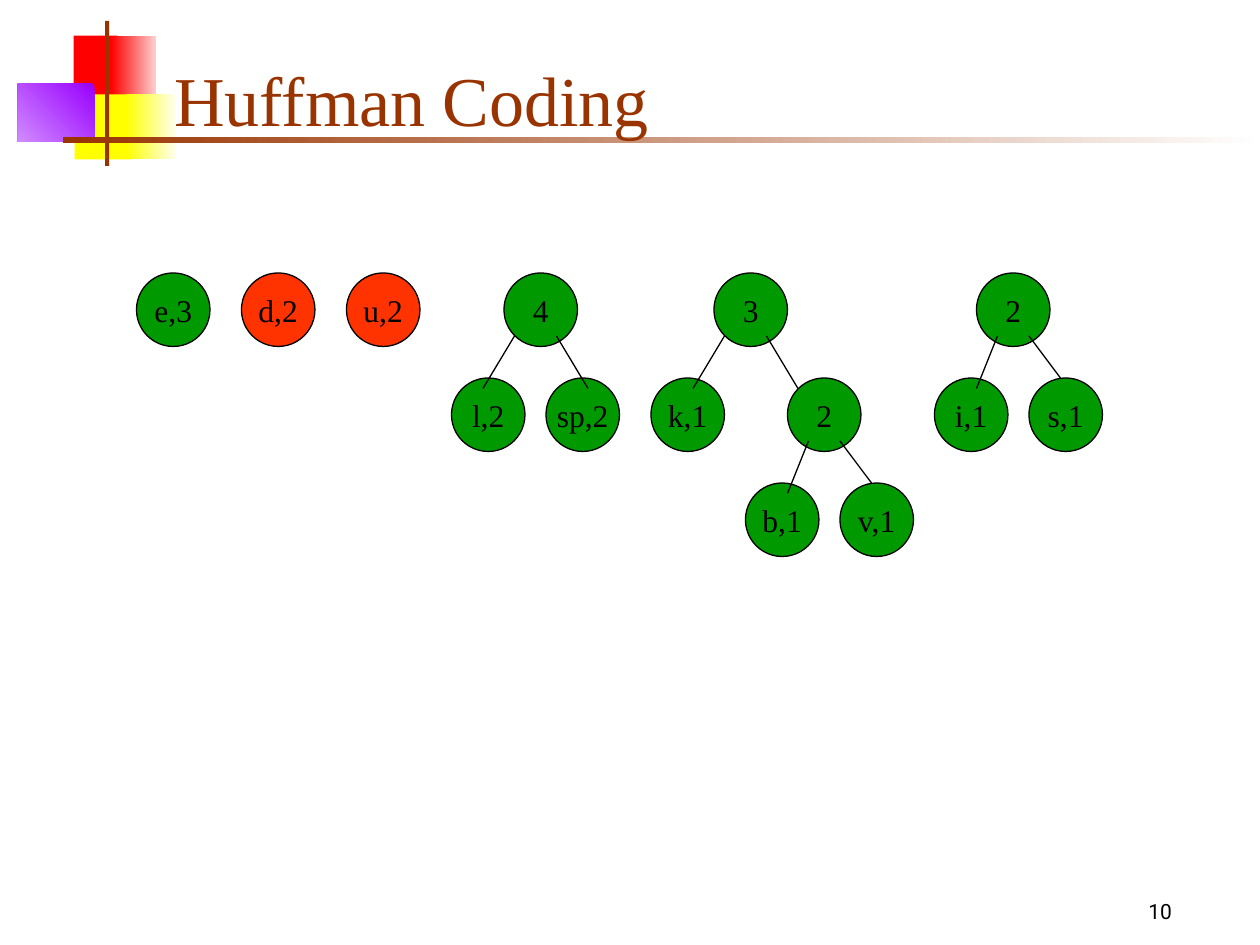
from typing import NamedTuple

from lxml.etree import SubElement
from pptx import Presentation
from pptx.dml.color import RGBColor
from pptx.enum.shapes import MSO_CONNECTOR as CONN, MSO_SHAPE as SHAPE
from pptx.enum.text import MSO_ANCHOR as ANCHOR, PP_ALIGN as ALIGN
from pptx.oxml.ns import qn
from pptx.util import Pt

PX = 914400 // 120
COLORS = {
    "red": "FF0000", "pink": "FFD1D1", "yellow": "FFFF00", "cream": "FFFFF0",
    "violet": "9900FF", "lilac": "D18BFF", "brown": "993300", "white": "FFFFFF",
    "green": "009900", "orange": "FF3300", "black": "000000",
}
DIAMETER = 70
ROW_TOP, ROW_STEP = 260, 100
EDGE_START = 60


class Band(NamedTuple):
    x: int
    y: int
    w: int
    h: int
    color: str
    end_color: str = ""
    angle: int = 180


class Node(NamedTuple):
    text: str
    x: int
    row: int
    color: str = "green"


class Edge(NamedTuple):
    row: int
    x1: int
    x2: int
    overlap: int = 10


BANDS = [
    Band(70, 34, 42, 62, "red"),
    Band(106, 34, 43, 62, "pink", "red"),
    Band(71, 90, 55, 62, "yellow"),
    Band(120, 90, 48, 62, "cream", "yellow"),
    Band(17, 80, 73, 55, "violet", "lilac", 225),
    Band(100, 20, 4, 138, "brown"),
    Band(60, 130, 1140, 6, "white", "brown"),
]
NODES = [
    Node("e,3", 130, 0), Node("d,2", 230, 0, "orange"), Node("u,2", 330, 0, "orange"),
    Node("4", 480, 0), Node("l,2", 430, 1), Node("sp,2", 520, 1),
    Node("3", 680, 0), Node("k,1", 620, 1), Node("2", 750, 1),
    Node("b,1", 710, 2), Node("v,1", 800, 2),
    Node("2", 930, 0), Node("i,1", 890, 1), Node("s,1", 980, 1),
]
EDGES = [
    Edge(0, 490, 460), Edge(0, 530, 560),
    Edge(0, 690, 660), Edge(0, 730, 760),
    Edge(1, 770, 750), Edge(1, 800, 830, 0),
    Edge(0, 950, 930), Edge(0, 980, 1010, 0),
]


def rgb(name: str) -> RGBColor:
    return RGBColor.from_string(COLORS[name])


def row_y(row: int) -> int:
    return ROW_TOP + row * ROW_STEP


def write(sp, text: str, *, size: int, font: str = "Times New Roman",
          color: str = "black", align=ALIGN.CENTER, anchor=ANCHOR.MIDDLE,
          wrap: bool = False) -> None:
    tf = sp.text_frame
    tf.word_wrap = wrap
    tf.vertical_anchor = anchor
    tf.margin_left = tf.margin_right = tf.margin_top = tf.margin_bottom = 6 * PX
    p = tf.paragraphs[0]
    p.alignment = align
    r = p.add_run()
    r.text = text
    r.font.size = Pt(size)
    r.font.name = font
    r.font.color.rgb = rgb(color)


def add_text(s, text: str, x: int, y: int, w: int, h: int, **style) -> None:
    write(s.shapes.add_textbox(x * PX, y * PX, w * PX, h * PX), text, **style)


def draw_band(s, band: Band) -> None:
    sp = s.shapes.add_shape(SHAPE.RECTANGLE, band.x * PX, band.y * PX, band.w * PX, band.h * PX)
    sp.shadow.inherit = False
    sp.line.fill.background()
    if band.end_color:
        sp.fill.gradient()
        sp.fill.gradient_angle = band.angle
        for stop, name in zip(sp.fill.gradient_stops, (band.color, band.end_color)):
            stop.color.rgb = rgb(name)
    else:
        sp.fill.solid()
        sp.fill.fore_color.rgb = rgb(band.color)


def draw_node(s, node: Node) -> None:
    sp = s.shapes.add_shape(SHAPE.OVAL, node.x * PX, row_y(node.row) * PX,
                            DIAMETER * PX, DIAMETER * PX)
    sp.shadow.inherit = False
    sp.fill.solid()
    sp.fill.fore_color.rgb = rgb(node.color)
    sp.line.color.rgb = rgb("black")
    sp.line.width = Pt(0.75)
    write(sp, node.text, size=18)


def draw_edge(s, edge: Edge) -> None:
    y1 = row_y(edge.row) + EDGE_START
    y2 = row_y(edge.row + 1) + edge.overlap
    line = s.shapes.add_connector(CONN.STRAIGHT, edge.x1 * PX, y1 * PX, edge.x2 * PX, y2 * PX)
    line.line.color.rgb = rgb("black")
    line.line.width = Pt(0.75)
    SubElement(line._element.spPr, qn("a:effectLst"))


def main() -> None:
    prs = Presentation()
    prs.slide_width, prs.slide_height = 1200 * PX, 900 * PX
    s = prs.slides.add_slide(prs.slide_layouts[6])
    for band in BANDS:
        draw_band(s, band)
    add_text(s, "10", 1050, 850, 110, 40, size=12, font="Roboto", anchor=ANCHOR.TOP)
    add_text(s, "Huffman Coding", 160, 30, 1022, 110, size=40, color="brown",
             align=ALIGN.LEFT, anchor=ANCHOR.BOTTOM, wrap=True)
    for node in NODES:
        draw_node(s, node)
    for edge in EDGES:
        draw_edge(s, edge)
    prs.save("out.pptx")


if __name__ == "__main__":
    main()
